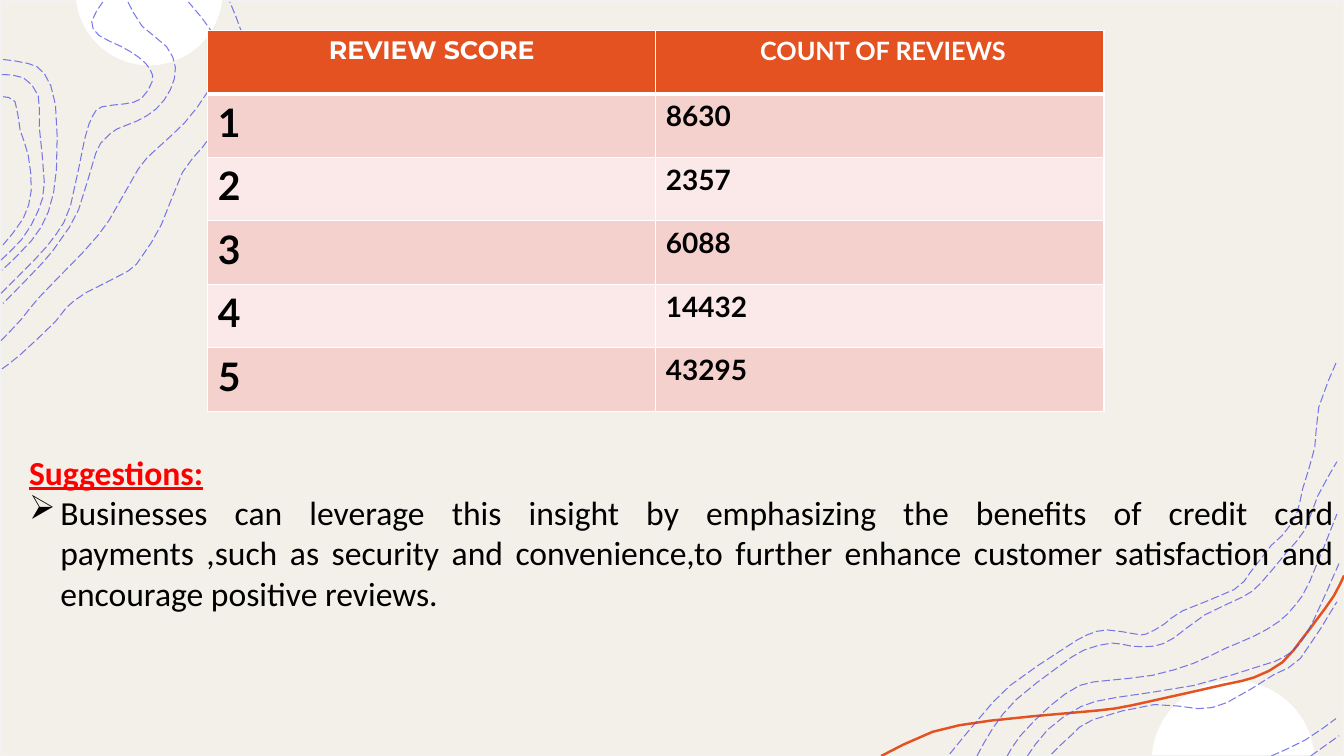
import math

from lxml import etree
from pptx import Presentation
from pptx import util as u
from pptx.dml.color import RGBColor
from pptx.enum import dml, shapes, text
from pptx.oxml.ns import qn

ORANGE, PAPER, VIOLET, WHITE = "E45221", "F3F0E9", "4D4EE6", "FFFFFF"
PINK, PALE_PINK, RED, BLACK = "F5D1CD", "FAE9E8", "FF0000", "000000"

# Contour lines as the points they pass through, in inches
TOP_LEFT_CONTOURS = [
    [(0.02, 3.66), (0.2, 3.52), (0.55, 3.19), (0.66, 3.05), (0.86, 2.9), (1.27, 2.69),
     (1.41, 2.54), (1.6, 2.23), (1.81, 1.71), (2.01, 1.46), (2.19, 1.2), (2.36, 0.91),
     (2.42, 0.53), (2.4, 0.33), (2.28, 0.02)],
    [(0.01, 3.38), (0.21, 3.17), (0.38, 2.96), (0.73, 2.6), (0.88, 2.44), (1.08, 2.19),
     (1.37, 1.68), (1.54, 1.49), (1.83, 1.22), (2.06, 0.91), (2.17, 0.63), (2.14, 0.37),
     (1.87, 0.02)],
    [(1.27, 0.02), (1.41, 0.26), (1.65, 0.46), (1.74, 0.67), (1.69, 0.89), (1.55, 1.08),
     (1.36, 1.2), (1.16, 1.28), (1.04, 1.38), (0.95, 1.52), (0.78, 2.08), (0.6, 2.38),
     (0.42, 2.61), (0.03, 3.01)],
    [(0.01, 2.91), (0.35, 2.57), (0.56, 2.32), (0.7, 2.04), (0.84, 1.38), (0.92, 1.15),
     (1.01, 1.06), (1.24, 1.03), (1.4, 0.98), (1.51, 0.81), (1.49, 0.69), (1.38, 0.57),
     (1.2, 0.46), (0.98, 0.35), (0.91, 0.21), (1.02, 0.02)],
    [(0.03, 0.59), (0.28, 0.63), (0.44, 0.73), (0.55, 1.04), (0.56, 1.68), (0.48, 2.1),
     (0.31, 2.39), (0.02, 2.68)],
    [(0.02, 0.74), (0.23, 0.77), (0.38, 0.95), (0.39, 1.26), (0.44, 1.81), (0.38, 2.09),
     (0.22, 2.37), (0.01, 2.58)],
    [(0.03, 0.96), (0.15, 1.01), (0.2, 1.29), (0.28, 1.54), (0.31, 1.89), (0.23, 2.17),
     (0.03, 2.43)],
]
BOTTOM_RIGHT_CONTOURS = [
    [(9.42, 7.48), (9.71, 7.13), (10.02, 6.8), (10.56, 6.43), (10.78, 6.3), (10.98, 6.25),
     (11.26, 6.29), (11.37, 6.29), (11.55, 6.19), (11.73, 6.06), (12.24, 5.85), (12.4, 5.68),
     (12.61, 5.41), (12.72, 5.31), (12.86, 5.1), (12.92, 4.85), (13.04, 4.44), (13.08, 4.04),
     (13.26, 3.58)],
    [(9.69, 7.5), (9.85, 7.22), (10.08, 6.94), (10.49, 6.62), (10.75, 6.45), (11.03, 6.38),
     (11.22, 6.41), (11.45, 6.41), (11.64, 6.33), (11.95, 6.1), (12.33, 5.92), (12.5, 5.79),
     (12.76, 5.48), (12.94, 5.26), (13.07, 4.92), (13.26, 4.58)],
    [(13, 7.5), (13.28, 7.3)],
    [(12.61, 7.5), (12.95, 7.34), (13.25, 7.13)],
    [(10.43, 7.48), (10.63, 7.29), (10.84, 7.14), (11.45, 6.99), (11.88, 7.03), (12.17, 6.97),
     (12.64, 6.69), (12.9, 6.53), (13.26, 5.97)],
    [(10.19, 7.5), (10.39, 7.24), (10.72, 7.01), (11.07, 6.92), (11.84, 6.8), (12.52, 6.6),
     (12.71, 6.53), (12.88, 6.4), (13.03, 6.15), (13.28, 5.59)],
    [(9.99, 7.5), (10.12, 7.3), (10.42, 7), (10.71, 6.8), (11, 6.75), (11.43, 6.7),
     (11.84, 6.58), (12.16, 6.43), (12.44, 6.31), (12.68, 6.17), (12.85, 6), (12.99, 5.77),
     (13.26, 5.1)],
]
ORANGE_STROKE = [
    (8.74, 7.5), (9.25, 7.26), (9.82, 7.15), (10.65, 7.07), (11.05, 7.03), (11.44, 6.95),
    (12.15, 6.79), (12.44, 6.72), (12.72, 6.57), (12.92, 6.33), (13.05, 6.16), (13.23, 5.91),
    (13.33, 5.71)]


def color(value):
    return RGBColor.from_string(value)


def smooth(points, steps=2):
    """Catmull-Rom curve through the points."""
    padded = [points[0], *points, points[-1]]
    result = [points[0]]
    for a, b, c, d in zip(padded, padded[1:], padded[2:], padded[3:]):
        for step in range(1, steps + 1):
            t = step / steps
            result.append(tuple(
                0.5 * (2 * q + (r - p) * t + (2 * p - 5 * q + 4 * r - s) * t ** 2
                       + (3 * q - p - 3 * r + s) * t ** 3)
                for p, q, r, s in zip(a, b, c, d)))
    return result


class SlideBuilder:
    body_font, table_font = "Calibri", "Lato"

    def __init__(self, presentation):
        self.slide = presentation.slides.add_slide(presentation.slide_layouts[6])

    def rectangle(self, left, top, width, height, fill, line):
        shape = self.slide.shapes.add_shape(
            shapes.MSO_SHAPE.RECTANGLE, *map(u.Inches, (left, top, width, height)))
        shape.shadow.inherit = False
        shape.fill.solid()
        shape.fill.fore_color.rgb = color(fill)
        shape.line.color.rgb = color(line)
        shape.line.width = u.Pt(1)

    def freeform(self, container, points, close):
        corners = [(u.Inches(x), u.Inches(y)) for x, y in points]
        builder = container.shapes.build_freeform(*corners[0])
        builder.add_line_segments(corners[1:], close=close)
        shape = builder.convert_to_shape()
        shape.shadow.inherit = False
        return shape

    def circle_segment(self, center_x, center_y, radius, start, end, parts=20):
        angles = [math.radians(start + (end - start) * i / parts) for i in range(parts + 1)]
        points = [(center_x + radius * math.cos(angle), center_y + radius * math.sin(angle))
                  for angle in angles]
        shape = self.freeform(self.slide, points, True)
        shape.fill.solid()
        shape.fill.fore_color.rgb = color(WHITE)
        shape.line.fill.background()

    def curve(self, container, points, line, width):
        shape = self.freeform(container, smooth(points), False)
        shape.fill.background()
        shape.line.color.rgb = color(line)
        shape.line.width = u.Pt(width)
        return shape

    def contours(self, lines):
        group = self.slide.shapes.add_group_shape()
        for points in lines:
            shape = self.curve(group, points, VIOLET, 0.75)
            shape.line.dash_style = dml.MSO_LINE.LONG_DASH
            tint = shape.line._ln.find(".//" + qn("a:srgbClr"))
            etree.SubElement(tint, qn("a:alpha"), val="75000")

    def run(self, paragraph, content, font, size, ink, bold=False, underline=False):
        run = paragraph.add_run()
        run.text = content
        run.font.name, run.font.size = font, u.Pt(size)
        run.font.bold, run.font.underline = bold, underline
        run.font.color.rgb = color(ink)

    def border(self, side, width):
        line = etree.Element(qn("a:" + side), w=str(u.Pt(width)))
        fill = etree.SubElement(line, qn("a:solidFill"))
        etree.SubElement(fill, qn("a:srgbClr"), val=WHITE)
        return line

    def table(self, rows, left, top, width, height):
        table = self.slide.shapes.add_table(
            len(rows), len(rows[0]), *map(u.Inches, (left, top, width, height))).table
        for i, row in enumerate(rows):
            for j, content in enumerate(row):
                cell = table.cell(i, j)
                paragraph = cell.text_frame.paragraphs[0]
                if i == 0:
                    fill, ink, size = ORANGE, WHITE, 18
                    paragraph.alignment = text.PP_ALIGN.CENTER
                else:
                    fill, ink, size = (PINK if i % 2 else PALE_PINK), BLACK, (28, 20)[j]
                font = "Montserrat" if i == j == 0 else self.table_font
                self.run(paragraph, content, font, size, ink, bold=True)
                cell.fill.solid()
                cell.fill.fore_color.rgb = color(fill)
                widths = {"lnL": 1, "lnR": 1, "lnT": 3 if i == 1 else 1, "lnB": 3 if i == 0 else 1}
                for position, (side, weight) in enumerate(widths.items()):
                    cell._tc.tcPr.insert(position, self.border(side, weight))

    def suggestions(self, heading, items, left, top, width, height):
        box = self.slide.shapes.add_textbox(*map(u.Inches, (left, top, width, height)))
        frame = box.text_frame
        frame.word_wrap = True
        paragraph = frame.paragraphs[0]
        paragraph.alignment = text.PP_ALIGN.JUSTIFY
        self.run(paragraph, heading, self.body_font, 24, RED, bold=True, underline=True)
        for item in items:
            paragraph = frame.add_paragraph()
            paragraph.alignment = text.PP_ALIGN.JUSTIFY
            properties = paragraph._p.get_or_add_pPr()
            properties.set("marL", str(u.Inches(0.31)))
            properties.set("indent", str(u.Inches(-0.31)))
            etree.SubElement(properties, qn("a:buChar"), char="➢")
            self.run(paragraph, item, self.body_font, 24, BLACK)


def main():
    presentation = Presentation()
    presentation.slide_width, presentation.slide_height = u.Inches(13.33), u.Inches(7.5)
    builder = SlideBuilder(presentation)

    # Backdrop
    builder.rectangle(0, 0, 13.33, 7.5, PAPER, "F2F2F2")
    builder.circle_segment(1.48, -0.08, 0.73, 6, 174)
    builder.circle_segment(12.23, 7.56, 0.81, 185, 355)
    builder.curve(builder.slide, ORANGE_STROKE, ORANGE, 1.75)
    builder.contours(TOP_LEFT_CONTOURS)
    builder.contours(BOTTOM_RIGHT_CONTOURS)

    # Review counts
    builder.table([
        ("REVIEW SCORE", " COUNT OF REVIEWS"),
        ("1", "8630"), ("2", "2357"), ("3", "6088"), ("4", "14432"), ("5", "43295"),
    ], 2.06, 0.3, 8.89, 3.78)

    # Suggestions
    builder.suggestions("Suggestions:", [
        "Businesses can leverage this insight by emphasizing the benefits of credit card "
        "payments ,such as security and convenience,to further enhance customer satisfaction "
        "and encourage positive reviews.",
    ], 0.19, 4.43, 13.14, 1.72)

    presentation.save("out.pptx")


if __name__ == "__main__":
    main()
